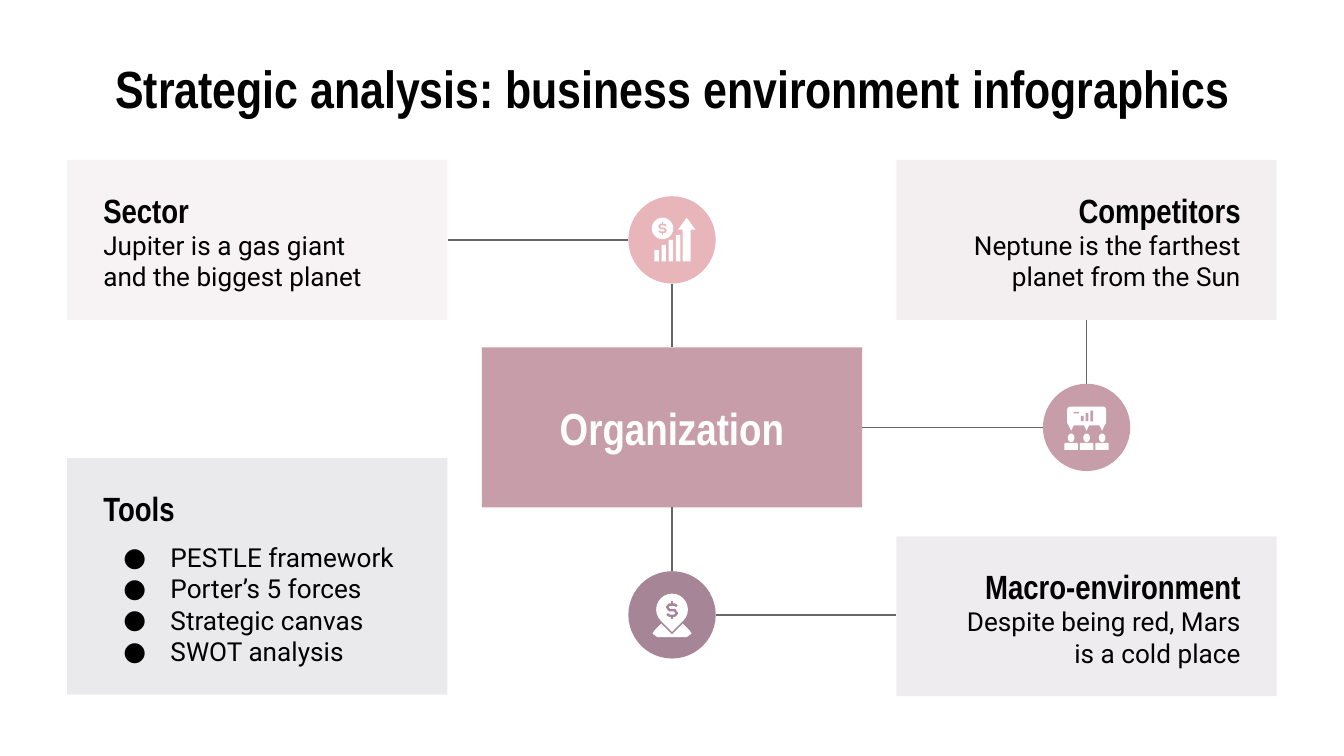
from lxml.etree import SubElement
from pptx import Presentation
from pptx.dml.color import RGBColor
from pptx.enum.shapes import MSO_CONNECTOR, MSO_SHAPE
from pptx.enum.text import MSO_ANCHOR, PP_ALIGN
from pptx.oxml.ns import qn
from pptx.util import Inches, Pt

COLORS = {
    "black": "000000", "white": "FFFFFF", "line": "666666", "pink": "E8B5BB",
    "rose": "C79DA9", "mauve": "A68596", "plum": "846E84", "violet": "635671",
}
HEADING, BODY = "Arial Narrow", "Roboto"
COLUMNS, ROWS = 100, 56.25
CARD_WIDTH, CARD_HEIGHT = 28.3, 11.9
LEFT, RIGHT = 5, 66.7
CIRCLE = 6.5


class Canvas:
    """Draws styled elements on the current slide, placed by columns and rows."""

    def __init__(self, deck, slide):
        self.slide = slide
        self.column = deck.slide_width / COLUMNS
        self.row = deck.slide_height / ROWS

    def place(self, x, y):
        return round(x * self.column), round(y * self.row)

    def color(self, name):
        return RGBColor.from_string(COLORS[name])

    def paint(self, shape, color, alpha=None):
        shape.shadow.inherit = False
        shape.line.fill.background()
        shape.fill.solid()
        shape.fill.fore_color.rgb = self.color(color)
        if alpha:
            tint = shape._element.spPr.find(qn("a:solidFill"))[0]
            SubElement(tint, qn("a:alpha")).set("val", str(alpha * 1000))
        return shape

    def shape(self, kind, x, y, width, height, color, alpha=None):
        shape = self.slide.shapes.add_shape(kind, *self.place(x, y), *self.place(width, height))
        return self.paint(shape, color, alpha)

    def outline(self, x, y, points, closed=True):
        places = [self.place(x + across, y + down) for across, down in points]
        builder = self.slide.shapes.build_freeform(*places[0])
        builder.add_line_segments(places[1:], close=closed)
        return builder.convert_to_shape()

    def polygon(self, x, y, points, color="white"):
        return self.paint(self.outline(x, y, points), color)

    def dollar(self, x, y, size, color):
        curve = [(0.28, -0.22), (0.15, -0.32), (-0.15, -0.32), (-0.28, -0.18), (-0.15, 0),
                 (0.15, 0), (0.28, 0.18), (0.15, 0.32), (-0.15, 0.32), (-0.28, 0.22)]
        strokes = [curve, [(0, -0.5), (0, -0.32)], [(0, 0.32), (0, 0.5)]]
        for stroke in strokes:
            points = [(across * size, down * size) for across, down in stroke]
            mark = self.outline(x, y, points, closed=False)
            mark.shadow.inherit = False
            mark.fill.background()
            mark.line.color.rgb = self.color(color)
            mark.line.width = Pt(size)

    def line(self, x1, y1, x2, y2):
        line = self.slide.shapes.add_connector(
            MSO_CONNECTOR.STRAIGHT, *self.place(x1, y1), *self.place(x2, y2))
        line.line.color.rgb = self.color("line")
        line.line.width = Pt(0.75)
        SubElement(line._element.spPr, qn("a:effectLst"))

    def label(self, shape, lines, font, size, align, color="black", bullets=False):
        frame = shape.text_frame
        frame.word_wrap = True
        frame.vertical_anchor = MSO_ANCHOR.MIDDLE
        frame.margin_left = frame.margin_right = Inches(0.1)
        frame.margin_top = frame.margin_bottom = Inches(0.1)
        frame.text = "\n".join(lines)
        for para in frame.paragraphs:
            para.alignment = align
            if bullets:
                self.bullet(para)
            for span in para.runs:
                span.font.name = font
                span.font.size = Pt(size)
                span.font.bold = font == HEADING
                span.font.color.rgb = self.color(color)

    def bullet(self, para):
        properties = para._p.get_or_add_pPr()
        properties.set("marL", str(Inches(0.5)))
        properties.set("indent", str(Inches(-0.35)))
        tint = SubElement(properties, qn("a:buClr"))
        SubElement(tint, qn("a:srgbClr")).set("val", COLORS["black"])
        SubElement(properties, qn("a:buFont")).set("typeface", BODY)
        SubElement(properties, qn("a:buChar")).set("char", "●")

    def text(self, x, y, width, height, lines, font, size, align, bullets=False):
        box = self.slide.shapes.add_textbox(*self.place(x, y), *self.place(width, height))
        self.label(box, lines, font, size, align, bullets=bullets)

    def card(self, x, y, color, heading, lines, height=CARD_HEIGHT, bullets=False):
        self.shape(MSO_SHAPE.RECTANGLE, x, y, CARD_WIDTH, height, color, 13)
        left, align = (x + 1.7, PP_ALIGN.LEFT) if x == LEFT else (x + 4.1, PP_ALIGN.RIGHT)
        self.text(left, y + 2.2, 22.5, 3, [heading], HEADING, 18, align)
        width, body_height = (25.8, 11.1) if bullets else (22.5, 4.4)
        self.text(left, y + 5.3, width, body_height, lines, BODY, 14, align, bullets)

    def circle(self, x, y, color):
        self.shape(MSO_SHAPE.OVAL, x - CIRCLE / 2, y - CIRCLE / 2, CIRCLE, CIRCLE, color)

    def growth_icon(self, x, y, color):
        self.circle(x, y, color)
        for step in range(4):
            top = 0.75 - 0.37 * step
            self.shape(MSO_SHAPE.RECTANGLE, x - 1.3 + 0.53 * step, y + top, 0.33, 1.6 - top, "white")
        self.polygon(x, y, [(1.1, -1.65), (1.75, -0.75), (1.4, -0.75), (1.4, 1.6),
                            (0.8, 1.6), (0.8, -0.75), (0.45, -0.75)])
        self.shape(MSO_SHAPE.OVAL, x - 1.5, y - 1.65, 1.6, 1.6, "white")
        self.dollar(x - 0.7, y - 0.85, 0.9, color)

    def audience_icon(self, x, y, color):
        self.circle(x, y, color)
        self.shape(MSO_SHAPE.ROUNDED_RECTANGLE, x - 1.45, y - 1.55, 2.9, 1.4, "white")
        self.shape(MSO_SHAPE.RECTANGLE, x - 0.97, y - 1.15, 0.4, 0.12, color)
        for step in range(3):
            height = 0.4 + 0.2 * step
            self.shape(MSO_SHAPE.RECTANGLE, x - 0.42 + 0.35 * step, y - 0.45 - height, 0.2, height, color)
            middle = x + 1.15 * (step - 1)
            self.polygon(middle, y, [(-0.3, -0.4), (0.3, -0.4), (0, 0.25)])
            self.shape(MSO_SHAPE.OVAL, middle - 0.25, y + 0.45, 0.5, 0.65, "white")
            self.shape(MSO_SHAPE.ROUND_2_SAME_RECTANGLE, middle - 0.5, y + 1.15, 1, 0.53, "white")

    def location_icon(self, x, y, color):
        self.circle(x, y, color)
        self.polygon(x, y, [(-0.8, 0.65), (-1.3, 1.15), (-1.45, 1.4), (-1.1, 1.65), (1.1, 1.65),
                            (1.45, 1.4), (1.3, 1.15), (0.8, 0.65), (0, 1.45)])
        pin = self.shape(MSO_SHAPE.TEAR, x - 1.18, y - 1.58, 2.36, 2.36, "white")
        pin.rotation = 135
        self.dollar(x, y - 0.35, 1.3, color)


def main():
    """Builds and saves the slide."""
    deck = Presentation()
    deck.slide_width, deck.slide_height = Inches(10), Inches(5.625)
    canvas = Canvas(deck, deck.slides.add_slide(deck.slide_layouts[6]))

    canvas.text(5, 4.5, 90, 4.1, ["Strategic analysis: business environment infographics"],
                HEADING, 28, PP_ALIGN.CENTER)
    canvas.card(LEFT, 11.9, "rose", "Sector", ["Jupiter is a gas giant and the biggest planet"])
    canvas.card(RIGHT, 11.9, "mauve", "Competitors", ["Neptune is the farthest planet from the Sun"])
    canvas.card(RIGHT, 39.9, "plum", "Macro-environment", ["Despite being red, Mars is a cold place"])
    tools = ["PESTLE framework", "Porter’s 5 forces", "Strategic canvas", "SWOT analysis"]
    canvas.card(LEFT, 34.1, "violet", "Tools", tools, 17.6, bullets=True)

    center, top, middle, bottom = 50, 17.85, 31.8, 45.75
    side, radius = RIGHT + CARD_WIDTH / 2, CIRCLE / 2
    half_width, half_height = CARD_WIDTH / 2, CARD_HEIGHT / 2
    hub = canvas.shape(MSO_SHAPE.RECTANGLE, center - half_width, middle - half_height,
                       CARD_WIDTH, CARD_HEIGHT, "rose")
    canvas.label(hub, ["Organization"], HEADING, 24, PP_ALIGN.CENTER, "white")

    canvas.line(center - radius, top, LEFT + CARD_WIDTH, top)
    canvas.line(center, top + radius, center, middle - half_height)
    canvas.line(center + half_width, middle, side - radius, middle)
    canvas.line(side, middle - radius, side, top + half_height)
    canvas.line(center, middle + half_height, center, bottom - radius)
    canvas.line(center + radius, bottom, RIGHT, bottom)

    canvas.growth_icon(center, top, "pink")
    canvas.audience_icon(side, middle, "rose")
    canvas.location_icon(center, bottom, "mauve")
    deck.save("out.pptx")


if __name__ == "__main__":
    main()
